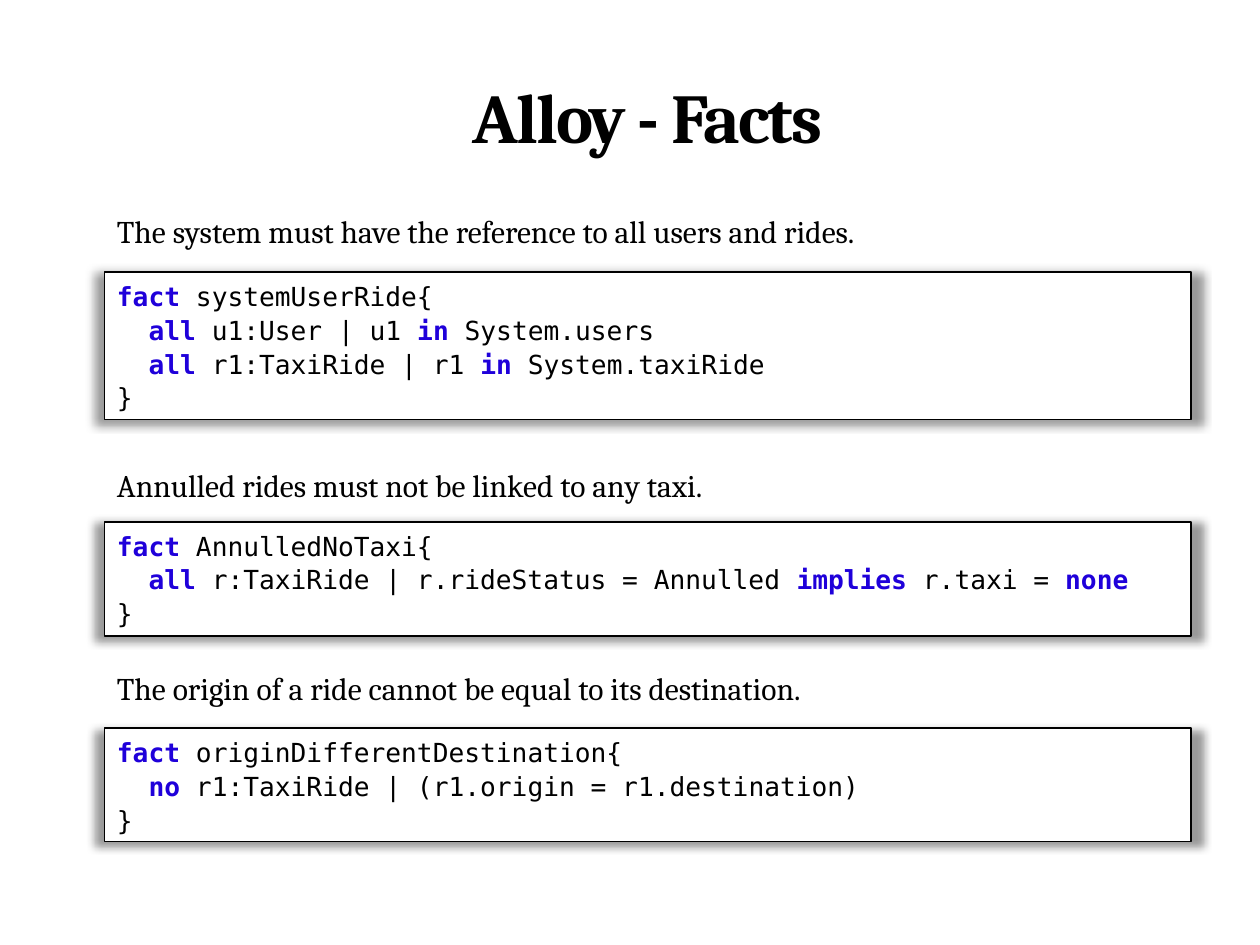
from dataclasses import dataclass
from itertools import groupby

from lxml.etree import SubElement
from pptx import Presentation
from pptx.dml.color import RGBColor as RGB
from pptx.enum.shapes import MSO_SHAPE as Shape
from pptx.enum.text import MSO_ANCHOR as Anchor, PP_ALIGN as Align
from pptx.oxml import parse_xml
from pptx.oxml.ns import nsdecls
from pptx.util import Inches, Pt


@dataclass(frozen=True)
class Theme:
    """Colours, fonts and type sizes of the slide."""
    ink: RGB = RGB(0, 0, 0)
    paper: RGB = RGB(255, 255, 255)
    keyword: RGB = RGB(0x1F, 0x00, 0xDA)
    text_font: str = "Cambria"
    code_font: str = "DejaVu Sans Mono"
    title_size: int = 40
    label_size: int = 18
    code_size: int = 15


THEME = Theme()
LEFT, WIDTH = 0.83, 8.62
KEYWORDS = {"fact", "all", "in", "implies", "none", "no"}
FACTS = [
    (1.63, "The system must have the reference to all users and rides.", 2.16, 1.17,
     ["fact systemUserRide{",
      "  all u1:User | u1 in System.users",
      "  all r1:TaxiRide | r1 in System.taxiRide",
      "}"]),
    (3.65, "Annulled rides must not be linked to any taxi.", 4.14, 0.91,
     ["fact AnnulledNoTaxi{",
      "  all r:TaxiRide | r.rideStatus = Annulled implies r.taxi = none",
      "}"]),
    (5.26, "The origin of a ride cannot be equal to its destination.", 5.78, 0.9,
     ["fact originDifferentDestination{",
      "  no r1:TaxiRide | (r1.origin = r1.destination)",
      "}"]),
]


def style(font, name, size, color):
    """Set the typeface, size and colour of a font."""
    font.name, font.size = name, Pt(size)
    font.color.rgb = color


def add_text(s, top, height, text, size):
    """Add a full-width line of text and return its paragraph."""
    box = s.shapes.add_textbox(Inches(LEFT), Inches(top), Inches(WIDTH), Inches(height))
    box.text_frame.word_wrap = True
    p = box.text_frame.paragraphs[0]
    p.text = text
    style(p.font, THEME.text_font, size, THEME.ink)
    return p


def add_title(s, text):
    """Add the centred, slightly condensed title."""
    p = add_text(s, 0.61, 1.12, text, THEME.title_size)
    p.alignment, p.line_spacing = Align.CENTER, 0.9
    p.font.bold = True
    p.runs[0].font._element.set("spc", "-110")


def add_soft_shadow(sp):
    """Give a shape a blurred grey shadow on all sides."""
    sp.shadow.inherit = False
    effects = sp._element.spPr.find("{*}effectLst")
    shadow = parse_xml(
        f'<a:outerShdw {nsdecls("a")} blurRad="63500" dist="19050" dir="5400000" '
        'sx="102000" sy="102000" algn="ctr" rotWithShape="0"/>')
    color = SubElement(shadow, shadow.tag.replace("outerShdw", "prstClr"), val="black")
    SubElement(color, color.tag.replace("prstClr", "alpha"), val="40000")
    effects.append(shadow)


def add_code_line(p, line):
    """Write a line of code with its keywords in bold colour."""
    p.alignment, p.line_spacing = Align.LEFT, 1.07
    style(p.font, THEME.code_font, THEME.code_size, THEME.ink)
    words = line.split(" ")
    tokens = [word + " " for word in words[:-1]] + words[-1:]
    for is_keyword, group in groupby(tokens, lambda token: token.strip() in KEYWORDS):
        r = p.add_run()
        r.text = "".join(group)
        style(r.font, THEME.code_font, THEME.code_size,
              THEME.keyword if is_keyword else THEME.ink)
        r.font.bold = is_keyword


def add_code_box(s, top, height, lines):
    """Add a framed box holding lines of code."""
    sp = s.shapes.add_shape(Shape.RECTANGLE, Inches(LEFT), Inches(top),
                            Inches(WIDTH), Inches(height))
    sp.fill.solid()
    sp.fill.fore_color.rgb = THEME.paper
    sp.line.color.rgb = THEME.ink
    sp.line.width = Pt(1)
    add_soft_shadow(sp)
    tf = sp.text_frame
    tf.word_wrap, tf.vertical_anchor = True, Anchor.TOP
    for i, line in enumerate(lines):
        add_code_line(tf.add_paragraph() if i else tf.paragraphs[0], line)


def main():
    """Build the slide and save it."""
    prs = Presentation()
    prs.slide_width, prs.slide_height = Inches(10), Inches(7.5)
    s = prs.slides.add_slide(prs.slide_layouts[6])
    add_title(s, "Alloy - Facts")
    for label_top, label, box_top, box_height, lines in FACTS:
        add_text(s, label_top, 0.4, label, THEME.label_size)
        add_code_box(s, box_top, box_height, lines)
    prs.save("out.pptx")


if __name__ == "__main__":
    main()
